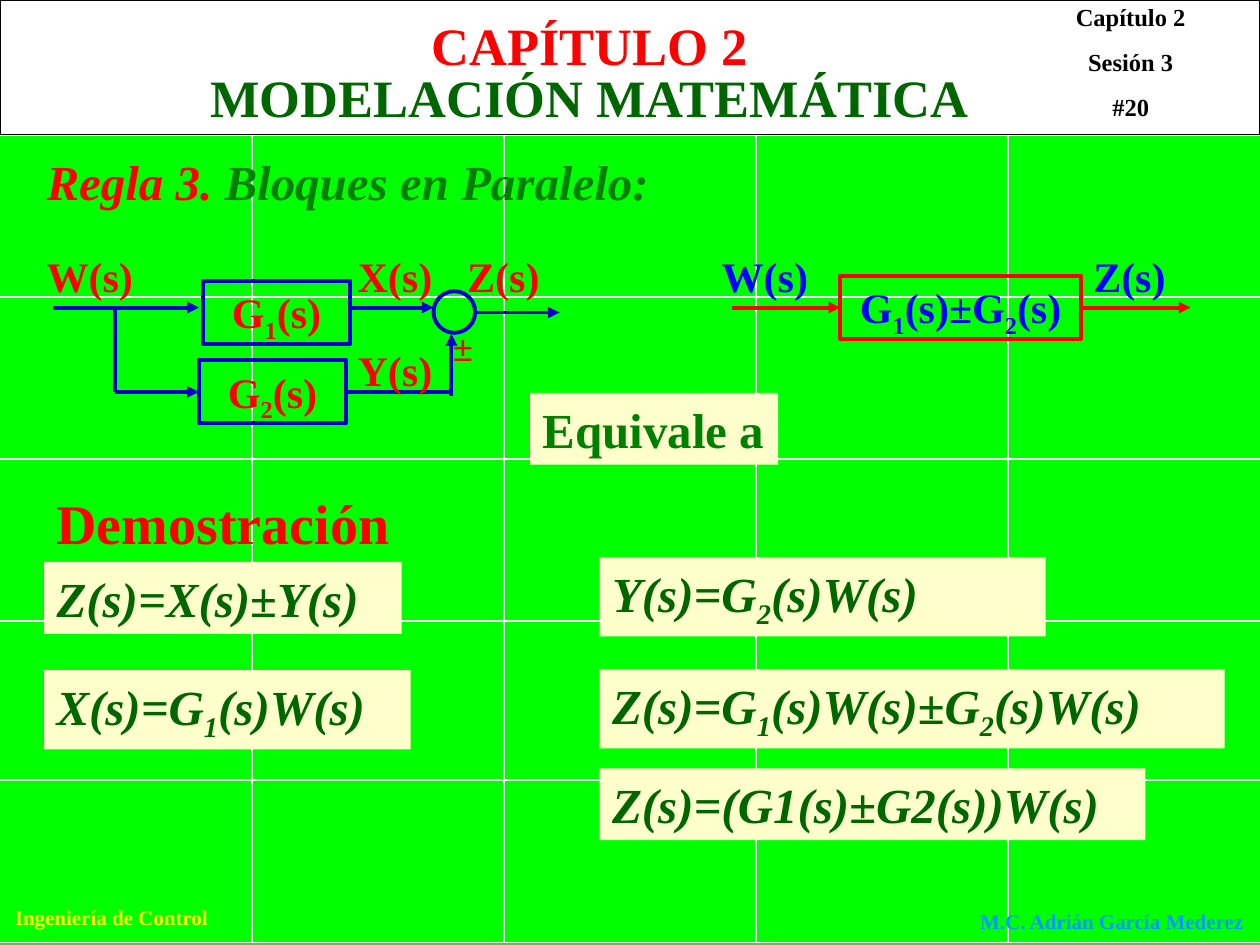
"""Builds the slide on rule 3 of block algebra: blocks in parallel."""
from lxml.etree import SubElement
from pptx import Presentation
from pptx.dml.color import RGBColor
from pptx.enum.shapes import MSO_CONNECTOR, MSO_SHAPE
from pptx.enum.text import MSO_ANCHOR, PP_ALIGN
from pptx.oxml.ns import qn
from pptx.util import Cm, Pt

WHITE = RGBColor(0xFF, 0xFF, 0xFF)
BLACK = RGBColor(0x00, 0x00, 0x00)
LIME = RGBColor(0x00, 0xFF, 0x00)
GREEN = RGBColor(0x00, 0x80, 0x00)
DARK_GREEN = RGBColor(0x00, 0x66, 0x00)
RED = RGBColor(0xFF, 0x00, 0x00)
BLUE = RGBColor(0x00, 0x00, 0xFF)
NAVY = RGBColor(0x00, 0x00, 0xCC)
SKY = RGBColor(0x00, 0x99, 0xFF)
YELLOW = RGBColor(0xFF, 0xFF, 0x00)
CREAM = RGBColor(0xFF, 0xFF, 0xCC)

SERIF = "Times New Roman"
LEFT, CENTER = PP_ALIGN.LEFT, PP_ALIGN.CENTER
WIDTH, HEIGHT = 25.4, 19.05
HEADER = 2.72
WIRE = 2.25


def add_runs(p, text, size, color, bold=True, italic=False, font=SERIF):
    """Add text to a paragraph; an underscore lowers the next character."""
    head, *rest = text.split("_")
    pieces = [(head, False)]
    for part in rest:
        pieces += [(part[0], True), (part[1:], False)]
    for piece, lowered in pieces:
        r = p.add_run()
        r.text = piece
        r.font.name, r.font.size = font, Pt(size)
        r.font.bold, r.font.italic = bold, italic
        r.font.color.rgb = color
        if lowered:
            r.font._element.set("baseline", "-25000")


def set_frame(sp):
    """Make the text wrap and start at the top, and return its frame."""
    tf = sp.text_frame
    tf.word_wrap = True
    tf.vertical_anchor = MSO_ANCHOR.TOP
    return tf


def add_text(s, box, text, size, color, align=LEFT, **style):
    """Add a one-line text box and return its paragraph."""
    p = set_frame(s.shapes.add_textbox(*map(Cm, box))).paragraphs[0]
    p.alignment = align
    add_runs(p, text, size, color, **style)
    return p


def add_shape(s, box, kind=MSO_SHAPE.RECTANGLE, fill=None, line=None, weight=WIRE):
    """Add a preset shape with an optional fill and outline."""
    sp = s.shapes.add_shape(kind, *map(Cm, box))
    sp.shadow.inherit = False
    if fill is None:
        sp.fill.background()
    else:
        sp.fill.solid()
        sp.fill.fore_color.rgb = fill
    if line is None:
        sp.line.fill.background()
    else:
        sp.line.color.rgb = line
        sp.line.width = Pt(weight)
    return sp


def add_block(s, box, text, color, line):
    """Add an outlined transfer function block."""
    p = set_frame(add_shape(s, box, line=line)).paragraphs[0]
    p.alignment = CENTER
    add_runs(p, text, 24, color)


def add_panel(s, box, text, color=DARK_GREEN, italic=True):
    """Add a cream panel with large text."""
    p = set_frame(add_shape(s, box, fill=CREAM)).paragraphs[0]
    p.alignment = LEFT
    add_runs(p, text, 28, color, italic=italic)


def add_line(s, x1, y1, x2, y2, color, weight=WIRE, arrow=False):
    """Add a straight line, with an arrowhead at its end if asked."""
    c = s.shapes.add_connector(MSO_CONNECTOR.STRAIGHT, Cm(x1), Cm(y1), Cm(x2), Cm(y2))
    c.line.color.rgb = color
    c.line.width = Pt(weight)
    if arrow:
        SubElement(c.line._get_or_add_ln(), qn("a:tailEnd"), type="triangle")
    SubElement(c._element.spPr, qn("a:effectLst"))


def add_backdrop(s):
    """Add the green background, its grid and the header band."""
    s.background.fill.solid()
    s.background.fill.fore_color.rgb = LIME
    for i in range(1, 5):
        add_line(s, i * WIDTH / 5, HEADER, i * WIDTH / 5, 19, WHITE, 1)
    for y in (HEADER, 5.99, 9.25, 12.52, 15.72, 19):
        add_line(s, 0, y, WIDTH, y, WHITE, 1)
    add_shape(s, (0, 0, WIDTH, HEADER), fill=WHITE, line=BLACK, weight=0.75)


def add_headings(s):
    """Add the titles, session label, footers and rule heading."""
    add_text(s, (0, 18.11, 4.5, 0.76), "Ingeniería de Control", 12, YELLOW, CENTER)
    add_text(s, (19.51, 18.19, 5.89, 0.76), "M.C. Adrián García Mederez", 12, SKY)
    session = set_frame(s.shapes.add_textbox(Cm(20.7), Cm(-0.08), Cm(4.19), Cm(2.67)))
    for i, text in enumerate(("Capítulo 2", "Sesión 3", "#20")):
        p = session.add_paragraph() if i else session.paragraphs[0]
        p.alignment = CENTER
        p.space_before = Pt(8.8)
        add_runs(p, text, 14, BLACK)
    add_text(s, (2.29, 0.13, 19.2, 1.52), "CAPÍTULO 2", 30, RED, CENTER)
    add_text(s, (2.29, 1.19, 19.2, 1.52), "MODELACIÓN MATEMÁTICA", 30, DARK_GREEN, CENTER)
    p = add_text(s, (0.69, 2.92, 23.22, 1.45), "Regla 3.", 28, RED, italic=True)
    add_runs(p, " Bloques en Paralelo:", 28, GREEN, italic=True)


def add_parallel_diagram(s):
    """Add the two parallel blocks that meet at a summing point."""
    add_block(s, (4.09, 5.66, 2.97, 1.27), "G_1(s)", RED, NAVY)
    add_block(s, (4.01, 7.26, 2.97, 1.27), "G_2(s)", RED, NAVY)
    add_shape(s, (8.74, 5.87, 0.84, 0.84), MSO_SHAPE.OVAL, line=NAVY)
    for x1, y1, x2, y2, arrow in (
        (1.07, 6.2, 4.01, 6.2, True),
        (7.04, 6.2, 8.74, 6.2, True),
        (2.32, 6.2, 2.32, 7.9, False),
        (2.32, 7.9, 4.01, 7.9, True),
        (6.98, 7.9, 9.1, 7.9, False),
        (9.1, 7.98, 9.1, 6.73, True),
        (9.58, 6.3, 11.28, 6.3, True),
    ):
        add_line(s, x1, y1, x2, y2, NAVY, arrow=arrow)
    for x, y, text in (
        (0.69, 4.93, "W(s)"),
        (6.96, 4.93, "X(s)"),
        (6.96, 6.83, "Y(s)"),
        (9.17, 4.93, "Z(s)"),
    ):
        add_text(s, (x, y, 2.54, 1.27), text, 24, RED)
    add_text(s, (8.89, 6.45, 1.7, 1.27), "±", 20, RED, bold=False, italic=True, font="Arial")


def add_equivalent_diagram(s):
    """Add the single block that replaces the parallel pair."""
    add_block(s, (16.94, 5.56, 4.85, 1.27), "G_1(s)±G_2(s)", BLUE, RED)
    for x1, x2 in ((14.76, 16.94), (21.79, 24)):
        add_line(s, x1, 6.2, x2, 6.2, RED, arrow=True)
    for x, text in ((14.3, "W(s)"), (21.79, "Z(s)")):
        add_text(s, (x, 4.93, 2.64, 1.27), text, 24, BLUE)


def add_proof(s):
    """Add the equations of the proof."""
    add_panel(s, (10.69, 7.92, 5, 1.45), "Equivale a", GREEN, italic=False)
    add_text(s, (0.89, 9.73, 7.39, 1.63), "Demostración", 32, RED)
    for box, text in (
        ((0.89, 11.33, 7.21, 1.45), "Z(s)=X(s)±Y(s)"),
        ((0.89, 13.51, 7.39, 1.6), "X(s)=G_1(s)W(s)"),
        ((12.09, 11.23, 8.99, 1.6), "Y(s)=G_2(s)W(s)"),
        ((12.09, 13.49, 12.6, 1.6), "Z(s)=G_1(s)W(s)±G_2(s)W(s)"),
        ((12.09, 15.49, 11, 1.45), "Z(s)=(G1(s)±G2(s))W(s)"),
    ):
        add_panel(s, box, text)


def main():
    """Build the slide and save it."""
    prs = Presentation()
    prs.slide_width, prs.slide_height = Cm(WIDTH), Cm(HEIGHT)
    s = prs.slides.add_slide(prs.slide_layouts[6])
    add_backdrop(s)
    add_headings(s)
    add_parallel_diagram(s)
    add_equivalent_diagram(s)
    add_proof(s)
    prs.save("out.pptx")


if __name__ == "__main__":
    main()
